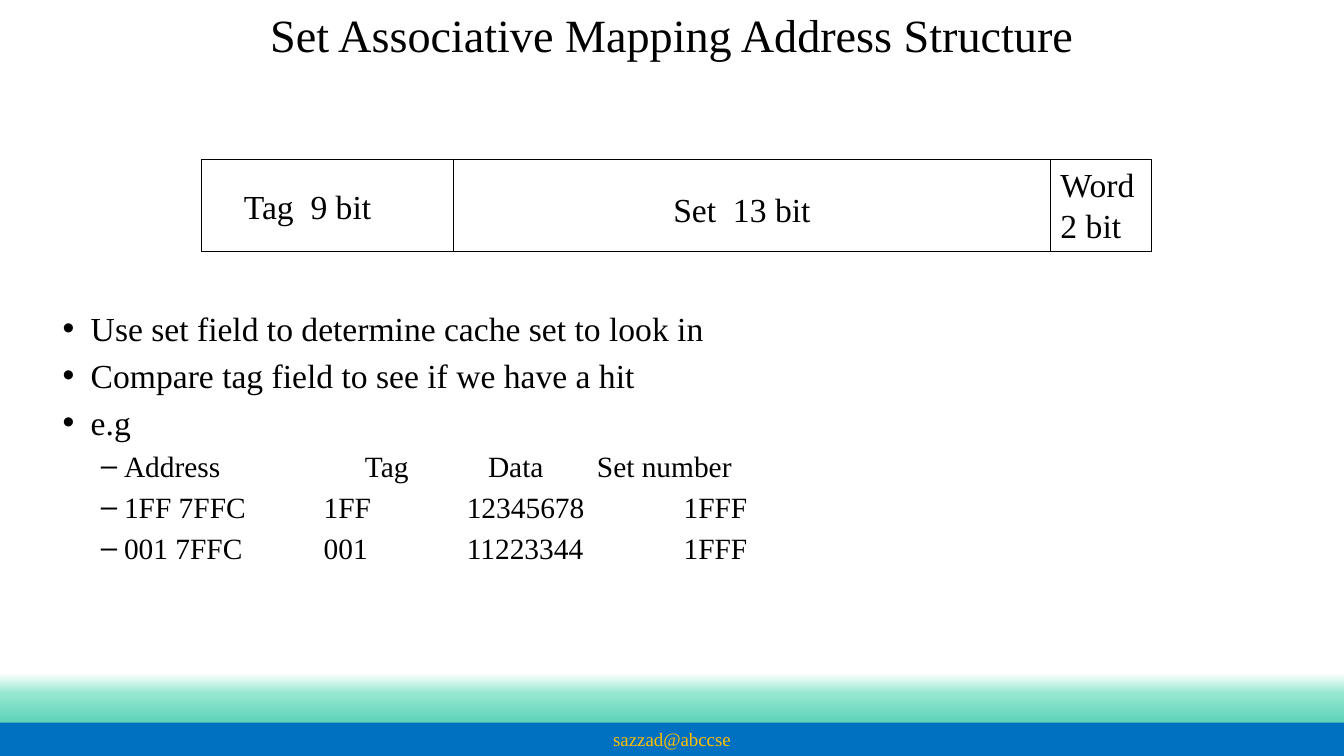
from dataclasses import dataclass

from lxml.etree import SubElement
from pptx import Presentation
from pptx.dml.color import RGBColor
from pptx.enum.shapes import MSO_CONNECTOR, MSO_SHAPE
from pptx.enum.text import MSO_ANCHOR, MSO_AUTO_SIZE, PP_ALIGN
from pptx.oxml.ns import qn
from pptx.util import Inches, Pt


@dataclass(frozen=True)
class Theme:
    font: str = "Times New Roman"
    ink: RGBColor = RGBColor.from_string("000000")
    white: RGBColor = RGBColor.from_string("FFFFFF")
    mint: RGBColor = RGBColor.from_string("9AE8D3")
    teal: RGBColor = RGBColor.from_string("5CD2B6")
    band: RGBColor = RGBColor.from_string("0070C0")
    gold: RGBColor = RGBColor.from_string("FFC000")
    title: Pt = Pt(33)
    body: Pt = Pt(24)
    detail: Pt = Pt(21)
    footer: Pt = Pt(13.5)
    line: Pt = Pt(0.75)


theme = Theme()


def style(paragraph, size, color=theme.ink):
    paragraph.font.name = theme.font
    paragraph.font.size = size
    paragraph.font.color.rgb = color


def add_rectangle(left, top, width, height):
    shape = slide.shapes.add_shape(
        MSO_SHAPE.RECTANGLE, Inches(left), Inches(top), Inches(width), Inches(height))
    shape.shadow.inherit = False
    shape.line.fill.background()
    return shape


presentation = Presentation()
presentation.slide_width = Inches(13.33)
presentation.slide_height = Inches(7.5)
slide = presentation.slides.add_slide(presentation.slide_layouts[1])

# Green fade above the footer
for top, bottom, start, end in [(6.68, 6.87, theme.white, theme.mint),
                                (6.87, 7.17, theme.mint, theme.teal)]:
    fade = add_rectangle(0, top, 13.33, bottom - top)
    fade.fill.gradient()
    fade.fill.gradient_angle = 270
    for stop, color in zip(fade.fill.gradient_stops, (start, end)):
        stop.color.rgb = color

# Footer band
footer = add_rectangle(0, 7.17, 13.33, 0.33)
footer.fill.solid()
footer.fill.fore_color.rgb = theme.band
footer.text_frame.margin_top = footer.text_frame.margin_bottom = Inches(0.04)
footer.text_frame.vertical_anchor = MSO_ANCHOR.MIDDLE
footer.text_frame.text = "sazzad@abccse"
paragraph = footer.text_frame.paragraphs[0]
paragraph.alignment = PP_ALIGN.CENTER
style(paragraph, theme.footer, theme.gold)

# Title
title = slide.shapes.title
title.left, title.top, title.width, title.height = (
    Inches(1), Inches(0), Inches(11.33), Inches(0.68))
title.text_frame.text = "Set Associative Mapping Address Structure"
title.text_frame.vertical_anchor = MSO_ANCHOR.MIDDLE
title.text_frame.paragraphs[0].alignment = PP_ALIGN.CENTER
style(title.text_frame.paragraphs[0], theme.title)

# Bullets: text, level and tab stops in inches
header_tabs = (3, 4.22, 5.3)
row_tabs = (2.59, 4.01, 6.16)
bullets = [
    ("Use set field to determine cache set to look in", 0, ()),
    ("Compare tag field to see if we have a hit", 0, ()),
    ("e.g", 0, ()),
    ("Address\tTag\tData\tSet number", 1, header_tabs),
    ("1FF 7FFC\t1FF\t12345678\t1FFF", 1, row_tabs),
    ("001 7FFC\t001\t11223344\t1FFF", 1, row_tabs),
]
indents = [(0.28, -0.28), (0.61, -0.23)]
body = slide.placeholders[1]
body.left, body.top, body.width, body.height = (
    Inches(0.52), Inches(3), Inches(10.59), Inches(3.51))
body.text_frame.auto_size = MSO_AUTO_SIZE.NONE
body.text_frame.text = "\n".join(text for text, level, tabs in bullets)
for paragraph, (text, level, tabs) in zip(body.text_frame.paragraphs, bullets):
    paragraph.level = level
    style(paragraph, theme.detail if level else theme.body)
    properties = paragraph._p.get_or_add_pPr()
    margin, hanging = indents[level]
    properties.set("marL", str(Inches(margin)))
    properties.set("indent", str(Inches(hanging)))
    if tabs:
        tab_list = SubElement(properties, qn("a:tabLst"))
        for position in tabs:
            SubElement(tab_list, qn("a:tab"), pos=str(Inches(position)), algn="l")
        properties.find(qn("a:defRPr")).addprevious(tab_list)

# Address word: frame and dividers
frame = add_rectangle(2, 1.58, 9.42, 0.92)
frame.fill.background()
frame.line.color.rgb = theme.ink
frame.line.width = theme.line
for x in (4.5, 10.42):
    divider = slide.shapes.add_connector(
        MSO_CONNECTOR.STRAIGHT, Inches(x), Inches(1.58), Inches(x), Inches(2.5))
    divider.line.color.rgb = theme.ink
    divider.line.width = theme.line
    SubElement(divider._element.spPr, qn("a:effectLst"))

# Address word: field labels
for text, left, top, width, height in [("Tag  9 bit", 2.32, 1.8, 1.49, 0.5),
                                       ("Set  13 bit", 6.58, 1.83, 1.56, 0.5),
                                       ("Word\n2 bit", 10.42, 1.58, 0.94, 0.91)]:
    label = slide.shapes.add_textbox(
        Inches(left), Inches(top), Inches(width), Inches(height))
    label.text_frame.word_wrap = False
    label.text_frame.auto_size = MSO_AUTO_SIZE.SHAPE_TO_FIT_TEXT
    label.text_frame.text = text
    for paragraph in label.text_frame.paragraphs:
        style(paragraph, theme.body)

presentation.save("out.pptx")
